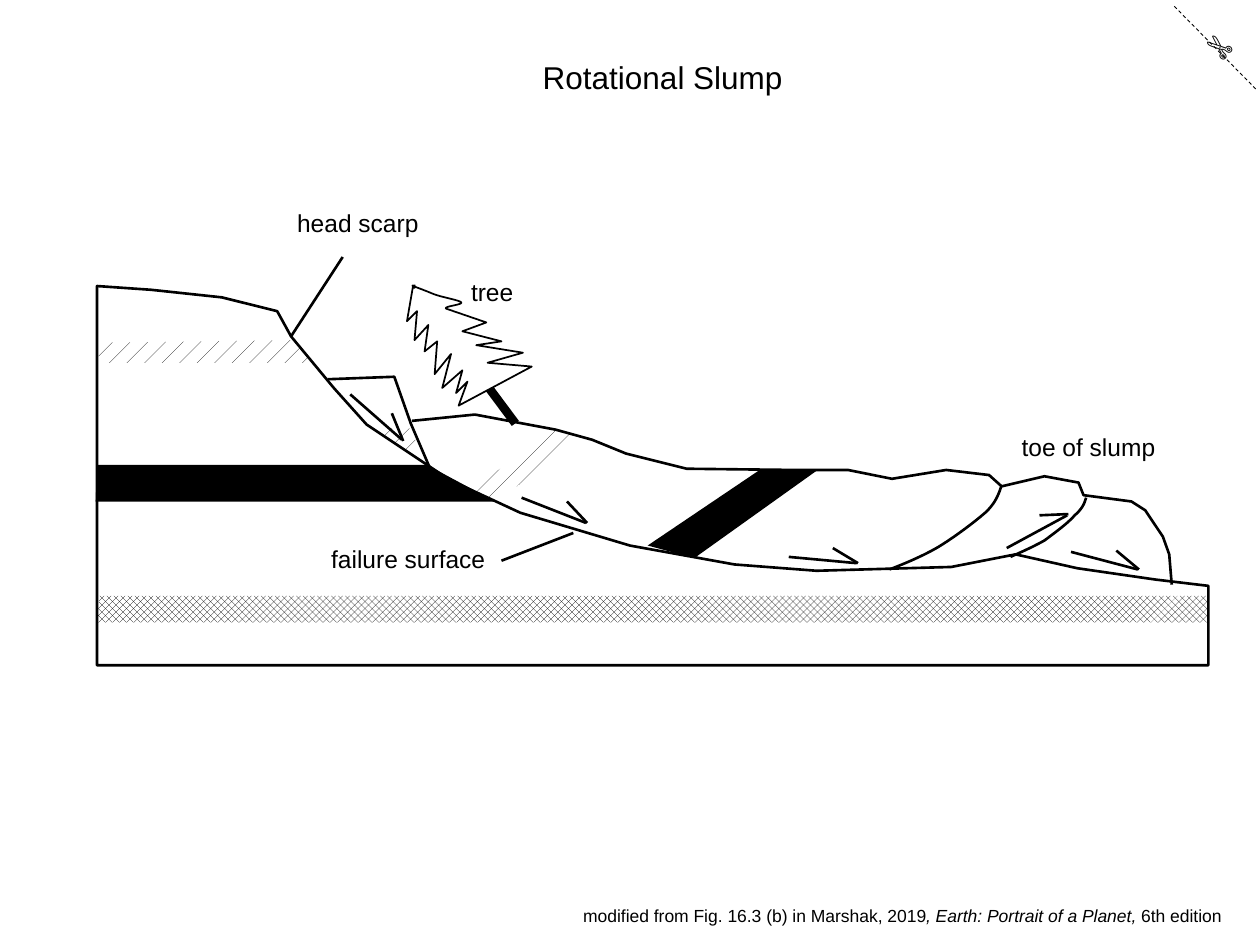
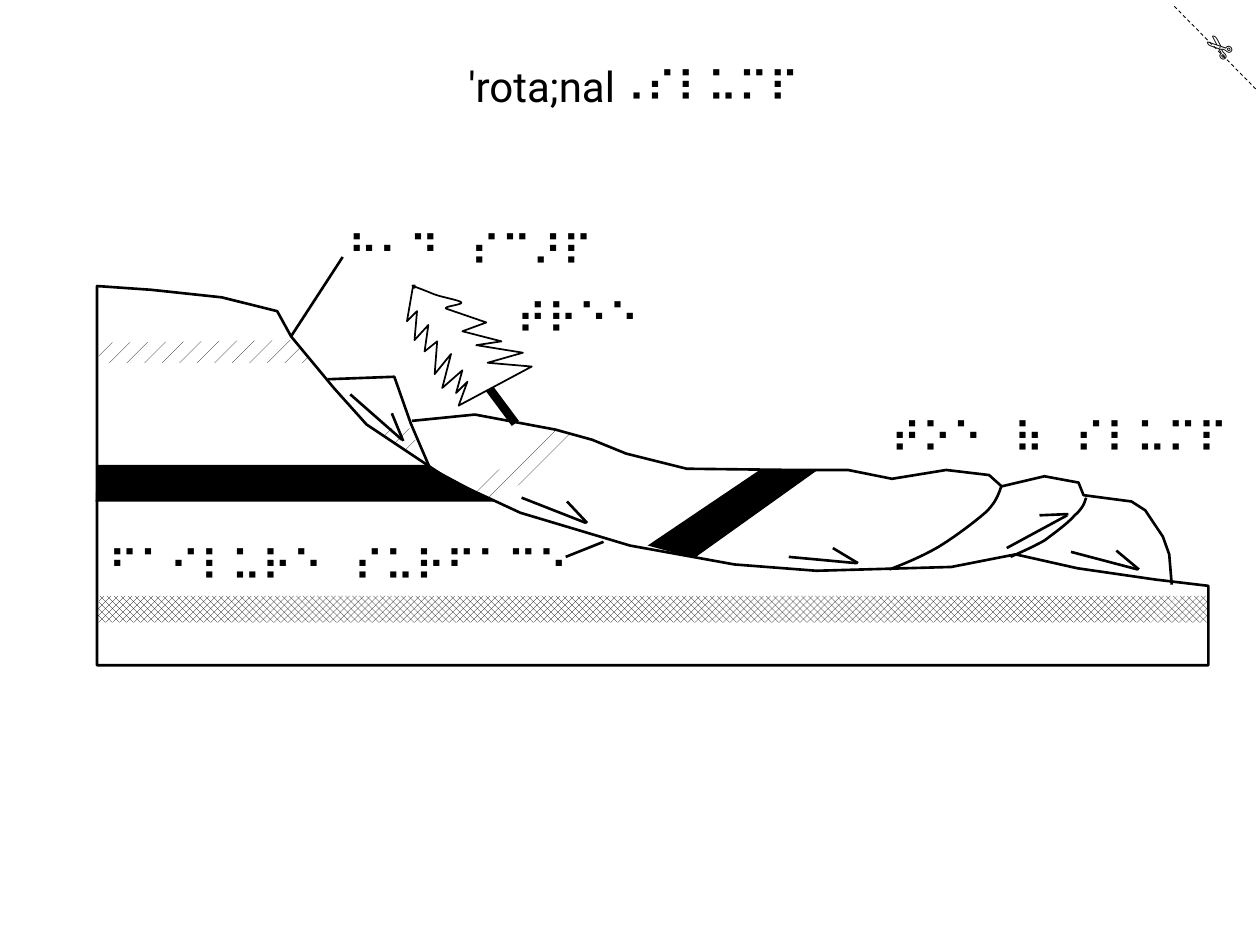
from lxml.etree import SubElement
from pptx import Presentation
from pptx.dml.color import RGBColor
from pptx.enum.dml import MSO_LINE, MSO_PATTERN
from pptx.enum.shapes import MSO_CONNECTOR
from pptx.enum.text import MSO_AUTO_SIZE, PP_ALIGN
from pptx.oxml.ns import qn
from pptx.util import Inches, Pt

SLIDE_WIDTH, SLIDE_HEIGHT = 10, 7.5
COLORS = {"ink": "000000", "paper": "FFFFFF"}
OUTLINE, TREE_OUTLINE, TRUNK, CUT = 1.5, 1, 5, 0.5
CURVE_STEPS = 12

# Outlines in inches: a pair is a corner, six numbers are a Bezier curve.
HATCHED_BEDS = [
    ([(3.94, 3.98), (4.63, 3.47), (4.4, 3.4), (3.73, 3.9)], MSO_PATTERN.PERCENT_5),
    ([(2.97, 3.4), (3.26, 3.4), (3.33, 3.57), (3.19, 3.57)], MSO_PATTERN.PERCENT_5),
    ([(0.77, 2.72), (2.33, 2.7), (2.48, 2.88), (0.79, 2.88)], MSO_PATTERN.PERCENT_5),
    ([(0.79, 4.73), (9.59, 4.73), (9.59, 4.94), (0.77, 4.94)], MSO_PATTERN.SOLID_DIAMOND),
]
DARK_BEDS = [
    [(0.77, 3.69), (3.39, 3.69), (3.93, 3.98), (0.76, 3.98)],
    [(5.14, 4.33), (6.03, 3.73), (6.49, 3.73), (5.51, 4.43)],
]
SLUMP_BLOCK = [(2.6, 3.01), (3.13, 2.99), (3.26, 3.36), (3.41, 3.71)]
TOE_FAULTS = [
    [(7.95, 3.85), (7.93, 3.91, 7.91, 3.98, 7.83, 4.06),
     (7.74, 4.14, 7.58, 4.26, 7.45, 4.34), (7.33, 4.41, 7.19, 4.47, 7.06, 4.52)],
    [(8.62, 3.95), (8.61, 3.99, 8.59, 4.04, 8.53, 4.09),
     (8.48, 4.15, 8.37, 4.23, 8.29, 4.29), (8.2, 4.34, 8.11, 4.38, 8.02, 4.42)],
]
BEDROCK = [
    (1.76, 2.36), (1.2, 2.3), (0.77, 2.27), (0.77, 5.28), (9.59, 5.28), (9.59, 4.65),
    (9.17, 4.6), (8.55, 4.51), (8.06, 4.4), (7.55, 4.5), (6.48, 4.53), (5.83, 4.48),
    (5, 4.33), (4.13, 4.07), (3.57, 3.81), (2.91, 3.37), (2.65, 3.08), (2.31, 2.67),
    (2.2, 2.47),
]
SLUMP_SURFACE = [
    (3.27, 3.34), (3.77, 3.29), (4.41, 3.41), (4.7, 3.49), (4.97, 3.6), (5.45, 3.72),
    (6.31, 3.73), (6.73, 3.73), (7.08, 3.8), (7.51, 3.73), (7.85, 3.77), (7.95, 3.86),
    (8.29, 3.78), (8.56, 3.83), (8.6, 3.93), (8.98, 3.98), (9.09, 4.05), (9.23, 4.26),
    (9.28, 4.4), (9.3, 4.64),
]
TREE_CROWN = [
    (3.29, 2.26), (3.3, 2.32, 3.26, 2.25, 3.28, 2.27), (3.3, 2.28, 3.36, 2.3, 3.43, 2.33),
    (3.5, 2.36, 3.64, 2.38, 3.66, 2.4), (3.68, 2.42, 3.52, 2.43, 3.54, 2.45),
    (3.86, 2.56), (3.67, 2.63), (3.98, 2.71), (3.78, 2.74), (4.15, 2.8), (3.87, 2.88),
    (4.22, 2.91), (3.64, 3.22), (3.71, 3.03), (3.62, 3.12), (3.67, 2.94), (3.51, 3.08),
    (3.58, 2.81), (3.45, 2.97), (3.47, 2.71), (3.37, 2.79), (3.4, 2.58), (3.29, 2.7),
    (3.31, 2.47), (3.23, 2.55), (3.28, 2.26),
]

# Straight lines: (start, end)
CUT_LINE = ((9.32, 0.05), (9.98, 0.72))
TREE_TRUNK = ((3.33, 2.34), (4.09, 3.36))
HEAD_SCARP_LEADER = ((2.31, 2.67), (2.72, 2.04))
MOTION_ARROWS = [  # shaft, barb
    (((4.65, 4.15), (4.14, 3.95)), ((4.5, 3.98), (4.66, 4.15))),
    (((6.8, 4.47), (6.26, 4.42)), ((6.61, 4.35), (6.81, 4.47))),
    (((3.19, 3.49), (2.78, 3.13)), ((3.11, 3.28), (3.2, 3.5))),
    (((8.47, 4.09), (7.99, 4.35)), ((8.25, 4.09), (8.48, 4.08))),
    (((9.03, 4.52), (8.5, 4.38)), ((8.86, 4.37), (9.04, 4.52))),
]

# What differs from slide to slide; boxes are left, top, width, height.
SCISSORS_BOX = (9.46, 0.18, 0.42, 0.4)
SLIDES = [
    {
        "font": "Arial", "scissors font": "Arial", "title size": 18, "label size": 14,
        "title": ("Rotational Slump", (3.41, 0.41, 3.7, 0.4)),
        "labels": [
            ("head scarp", (2.26, 1.6, 1.17, 0.34)),
            ("toe of slump", (8.01, 3.38, 1.27, 0.34)),
            ("tree", (3.64, 2.15, 0.54, 0.34)),
            ("failure surface", (2.53, 4.27, 1.43, 0.34)),
        ],
        "failure leader": ((3.98, 4.45), (4.55, 4.23)),
        "credit": [("modified from Fig. 16.3 (b) in Marshak, 2019", False),
                   (", Earth: Portrait of a Planet, ", True), ("6th edition", False)],
    },
    {
        "font": "Roboto", "scissors font": "Calibri", "title size": 24, "label size": 24,
        "title": ("'rota;nal⠠⠎⠇⠥⠍⠏", (2.58, 0.43, 4.9, 0.5)),
        "labels": [
            ("⠓⠂⠙⠀⠎⠉⠜⠏", (2.66, 1.73, 2.15, 0.5)),
            ("⠞⠗⠑⠑", (4, 2.27, 1.18, 0.5)),
            ("⠋⠁⠊⠇⠥⠗⠑⠀⠎⠥⠗⠋⠁⠉⠑", (0.76, 4.23, 3.86, 0.5)),
            ("⠞⠕⠑⠀⠷⠀⠎⠇⠥⠍⠏", (6.97, 3.22, 2.93, 0.5)),
        ],
        "failure leader": ((4.49, 4.42), (4.79, 4.3)),
        "credit": [],
    },
]
CREDIT_BOX = (4.53, 7.13, 5.47, 0.27)
CREDIT_SIZE = 10


def color(name):
    return RGBColor.from_string(COLORS[name])


def flatten(outline):
    """Turn corners and Bezier curves into a plain list of points."""
    points = [outline[0]]
    for step in outline[1:]:
        if len(step) == 2:
            points.append(step)
            continue
        controls = [points[-1], step[:2], step[2:4], step[4:]]
        for index in range(1, CURVE_STEPS + 1):
            t = index / CURVE_STEPS
            weights = ((1 - t) ** 3, 3 * t * (1 - t) ** 2, 3 * t ** 2 * (1 - t), t ** 3)
            points.append(tuple(sum(w * c[axis] for w, c in zip(weights, controls))
                                for axis in (0, 1)))
    return points


def add_outline(slide, outline, closed=False, fill=None, pattern=None, width=None):
    points = [(Inches(x), Inches(y)) for x, y in flatten(outline)]
    builder = slide.shapes.build_freeform(*points[0], scale=1.0)
    builder.add_line_segments(points[1:], close=closed)
    shape = builder.convert_to_shape()
    shape.shadow.inherit = False
    if pattern is not None:
        shape.fill.patterned()
        shape.fill.pattern = pattern
        shape.fill.fore_color.rgb = color("ink")
        shape.fill.back_color.rgb = color("paper")
    elif fill:
        shape.fill.solid()
        shape.fill.fore_color.rgb = color(fill)
    else:
        shape.fill.background()
    if width:
        shape.line.color.rgb = color("ink")
        shape.line.width = Pt(width)
    else:
        shape.line.fill.background()


def add_line(shapes, ends, width=OUTLINE, dash=None):
    start, end = ends
    line = shapes.add_connector(MSO_CONNECTOR.STRAIGHT, *map(Inches, start + end))
    line.line.color.rgb = color("ink")
    line.line.width = Pt(width)
    if dash is not None:
        line.line.dash_style = dash
    SubElement(line._element.spPr, qn("a:effectLst"))


def add_text(slide, runs, box, font, size, align=None, wrap=True, rotation=0):
    shape = slide.shapes.add_textbox(*map(Inches, box))
    shape.rotation = rotation
    frame = shape.text_frame
    frame.word_wrap = wrap
    frame.auto_size = MSO_AUTO_SIZE.SHAPE_TO_FIT_TEXT
    paragraph = frame.paragraphs[0]
    paragraph.alignment = align
    for text, italic in runs:
        run = paragraph.add_run()
        run.text = text
        run.font.name = font
        run.font.size = Pt(size)
        run.font.italic = italic
        run.font.color.rgb = color("ink")


def draw_cut_corner(slide, font):
    add_line(slide.shapes, CUT_LINE, CUT, MSO_LINE.DASH)
    add_text(slide, [("✄", False)], SCISSORS_BOX, font, 18, rotation=220.5)


def draw_slump(slide):
    # Beds
    for outline, pattern in HATCHED_BEDS:
        add_outline(slide, outline, closed=True, pattern=pattern)
    for outline in DARK_BEDS:
        add_outline(slide, outline, closed=True, fill="ink")
    # Surfaces and faults
    for outline in [SLUMP_BLOCK, *TOE_FAULTS, SLUMP_SURFACE]:
        add_outline(slide, outline, width=OUTLINE)
    add_outline(slide, BEDROCK, closed=True, width=OUTLINE)
    # Half-headed arrows of movement
    for arrow in MOTION_ARROWS:
        group = slide.shapes.add_group_shape()
        for ends in arrow:
            add_line(group.shapes, ends)
    # Tilted tree
    add_line(slide.shapes, TREE_TRUNK, TRUNK)
    add_outline(slide, TREE_CROWN, fill="paper", width=TREE_OUTLINE)


def draw_labels(slide, content):
    font = content["font"]
    title, title_box = content["title"]
    add_text(slide, [(title, False)], title_box, font, content["title size"], PP_ALIGN.CENTER)
    for label, box in content["labels"]:
        add_text(slide, [(label, False)], box, font, content["label size"], wrap=False)
    for leader in (HEAD_SCARP_LEADER, content["failure leader"]):
        add_line(slide.shapes, leader)
    if content["credit"]:
        add_text(slide, content["credit"], CREDIT_BOX, font, CREDIT_SIZE)


def main():
    presentation = Presentation()
    presentation.slide_width = Inches(SLIDE_WIDTH)
    presentation.slide_height = Inches(SLIDE_HEIGHT)
    for content in SLIDES:
        slide = presentation.slides.add_slide(presentation.slide_layouts[6])
        draw_cut_corner(slide, content["scissors font"])
        draw_slump(slide)
        draw_labels(slide, content)
    presentation.save("out.pptx")


if __name__ == "__main__":
    main()
